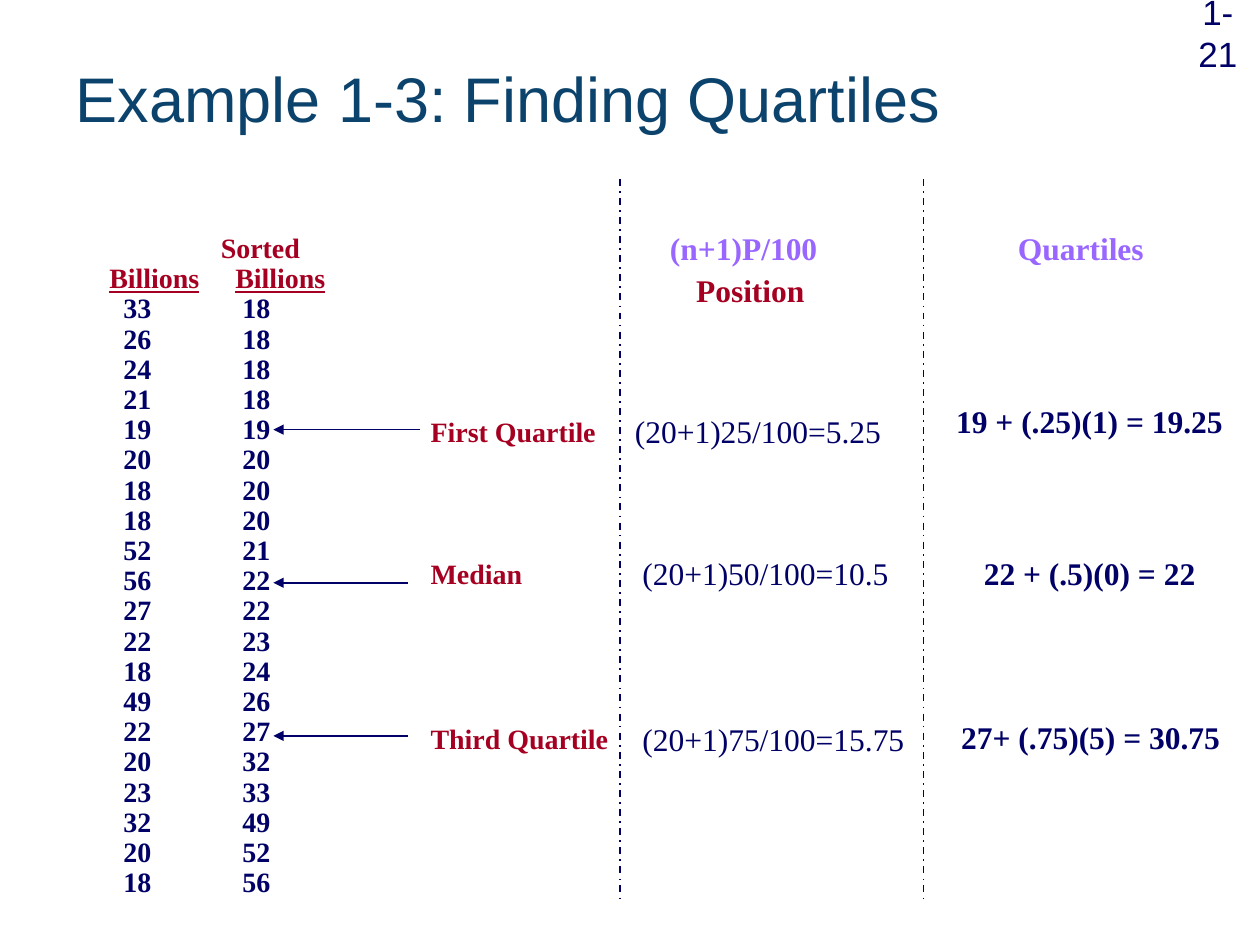
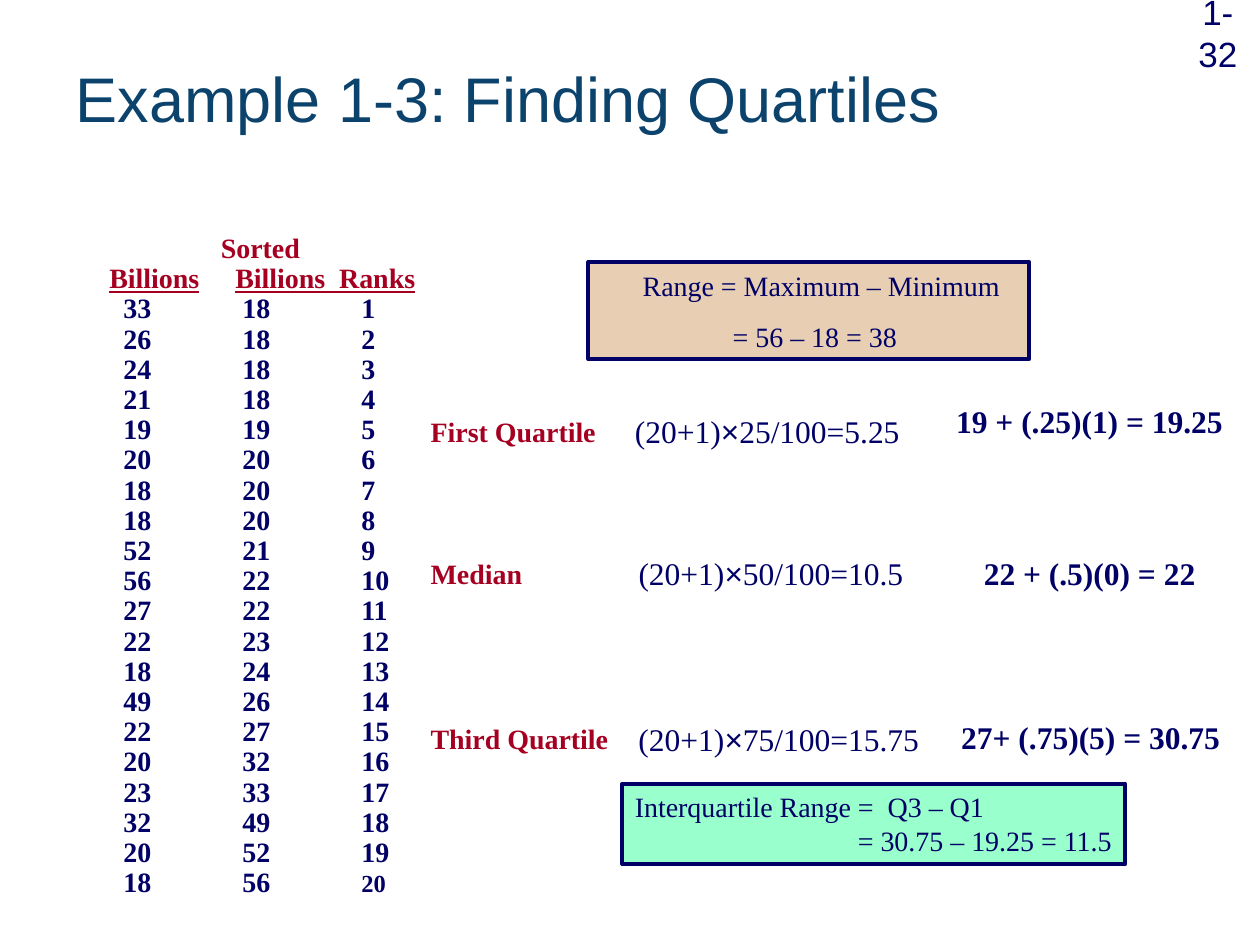
"""Build two slides on finding quartiles of a sorted data set."""
import pptx
import pptx.dml.color
import pptx.enum.dml
import pptx.enum.shapes
import pptx.enum.text
import pptx.oxml.ns
import pptx.util
from lxml import etree

Pt = pptx.util.Pt
ALIGN = pptx.enum.text.PP_ALIGN
COLORS = {
    "navy": "000066", "red": "A50021", "purple": "9966FF", "title": "0C436C",
    "white": "FFFFFF", "tan": "E8CEB2", "mint": "99FFCC",
}
SERIF, SANS = "Times New Roman", "Arial"

BILLIONS = [33, 26, 24, 21, 19, 20, 18, 18, 52, 56,
            27, 22, 18, 49, 22, 20, 23, 32, 20, 18]
QUARTILES = [
    ("First Quartile", "25/100=5.25", "19 + (.25)(1) = 19.25"),
    ("Median", "50/100=10.5", "22 + (.5)(0) = 22"),
    ("Third Quartile", "75/100=15.75", "27+ (.75)(5) = 30.75"),
]
LABEL_SPOTS = [(239, 233.3, 110, 26), (239, 314.6, 70, 26), (239, 409, 118, 26)]
RESULT_SPOTS = [(539.3, 226, 168, 28.8), (555.1, 313.2, 136, 28.8),
                (542.2, 406.8, 163, 28.8)]
PLAIN_SPOTS = [(355.7, 231.8, 173.5, 28.8), (360, 313.2, 158, 28.8),
               (360, 408.2, 167, 28.8)]
TIMES_SPOTS = [(355.7, 231.8, 173.5, 28.8), (357.8, 313.2, 170, 28.8),
               (357.8, 408.2, 180, 28.8)]


def rgb(name):
    return pptx.dml.color.RGBColor.from_string(COLORS[name])


def write(frame, paragraphs, font=SERIF, size=18, color="navy", bold=False,
          underline=False, align=ALIGN.LEFT, spacing=None, before=0, indents=(), tabs=()):
    """Fill a frame; a paragraph is a string or a list of (text, overrides)."""
    base = dict(font=font, size=size, color=color, bold=bold, underline=underline)
    for index, content in enumerate(paragraphs):
        paragraph = frame.paragraphs[0] if index == 0 else frame.add_paragraph()
        paragraph.alignment = align
        paragraph.space_before = Pt(before)
        if spacing:
            paragraph.line_spacing = spacing
        properties = paragraph._p.get_or_add_pPr()
        if indents:
            properties.set("marL", str(Pt(indents[index])))
            properties.set("indent", "0")
        if tabs:
            stops = etree.SubElement(properties, pptx.oxml.ns.qn("a:tabLst"))
            for position in tabs[index]:
                etree.SubElement(stops, pptx.oxml.ns.qn("a:tab"),
                                 pos=str(Pt(position)), algn="l")
        for text, overrides in [(content, {})] if isinstance(content, str) else content:
            style = {**base, **overrides}
            run = paragraph.add_run()
            run.text = text
            run.font.name = style["font"]
            run.font.size = Pt(style["size"])
            run.font.bold = style["bold"]
            run.font.underline = style["underline"]
            run.font.color.rgb = rgb(style["color"])


class Deck:
    """Hold the presentation style and the current slide."""

    def __init__(self):
        self.show = pptx.Presentation()
        self.show.slide_width, self.show.slide_height = Pt(720), Pt(540)
        self.slide = None

    def start(self, title, number):
        self.slide = self.show.slides.add_slide(self.show.slide_layouts[5])
        heading = self.slide.shapes.title
        heading.left, heading.top, heading.width, heading.height = map(Pt, (36, 10.8, 667.4, 90))
        heading.text_frame.vertical_anchor = pptx.enum.text.MSO_ANCHOR.MIDDLE
        write(heading.text_frame, [title], font=SANS, size=36, color="title")
        self.text((668.9, -9.2, 54, 34.6), [number], wrap=True, font=SANS, size=20,
                  align=ALIGN.CENTER)

    def text(self, spot, paragraphs, wrap=False, **style):
        box = self.slide.shapes.add_textbox(*map(Pt, spot))
        box.text_frame.word_wrap = wrap
        write(box.text_frame, paragraphs, **style)

    def panel(self, spot, paragraphs, fill="white", border=None, wrap=False, **style):
        panel = self.slide.shapes.add_shape(
            pptx.enum.shapes.MSO_SHAPE.RECTANGLE, *map(Pt, spot))
        panel.shadow.inherit = False
        panel.fill.solid()
        panel.fill.fore_color.rgb = rgb(fill)
        if border:
            panel.line.color.rgb = rgb(border)
            panel.line.width = Pt(2.25)
        else:
            panel.line.fill.background()
        panel.text_frame.word_wrap = wrap
        panel.text_frame.vertical_anchor = pptx.enum.text.MSO_ANCHOR.TOP
        write(panel.text_frame, paragraphs, **style)

    def line(self, start, end, arrow=False, dash=None):
        line = self.slide.shapes.add_connector(
            pptx.enum.shapes.MSO_CONNECTOR.STRAIGHT, *map(Pt, start + end))
        line.line.color.rgb = rgb("navy")
        line.line.width = Pt(1)
        if dash:
            line.line.dash_style = dash
        if arrow:
            etree.SubElement(line.line._get_or_add_ln(), pptx.oxml.ns.qn("a:headEnd"),
                             type="triangle")
        etree.SubElement(line._element.spPr, pptx.oxml.ns.qn("a:effectLst"))

    def data_columns(self, ranked):
        heading = {"color": "red", "underline": True}
        second = "Billions  Ranks" if ranked else "Billions"
        rows = [[("\tSorted", {"color": "red"})],
                [("Billions", heading), ("\t", {}), (second, heading)]]
        for rank, (raw, ordered) in enumerate(zip(BILLIONS, sorted(BILLIONS)), 1):
            row = [(f"\t{raw}\t{ordered}", {})]
            if ranked:
                row.append((f"\t{rank}", {"size": 14 if rank == len(BILLIONS) else 16}))
            rows.append(row)
        tabs = [(63.7,), (72,)] + [(8, 76, 144)] * len(BILLIONS)
        self.panel((55.4, 130.3, 216.7, 401.8), rows, wrap=True, size=16, bold=True,
                   spacing=0.9, tabs=tabs)

    def quartile_rows(self, with_times):
        spots = zip(QUARTILES, LABEL_SPOTS, TIMES_SPOTS if with_times else PLAIN_SPOTS,
                    RESULT_SPOTS)
        for (label, position, result), label_spot, position_spot, result_spot in spots:
            self.text(label_spot, [label], size=16, color="red", bold=True)
            if with_times:
                formula = [("(20+1)", {}), ("×", {"font": SANS}), (position, {})]
                self.panel(position_spot, [formula])
            else:
                self.text(position_spot, ["(20+1)" + position])
            self.panel(result_spot, [result], bold=True)


def main():
    deck = Deck()
    title = "Example 1-3: Finding Quartiles"

    deck.start(title, "1-21")
    deck.data_columns(ranked=False)
    for row, arrow_end in enumerate((239.8, 233.3, 233.3)):
        height = 245.5 + 87.5 * row
        deck.line((156.2, height), (arrow_end, height), arrow=True)
    deck.quartile_rows(with_times=False)
    for divider in (354.2, 527.8):
        deck.line((divider, 102.2), (divider, 514.8),
                  dash=pptx.enum.dml.MSO_LINE.DASH_DOT)
    deck.text((375.8, 127.4, 100, 28.8), ["(n+1)P/100"], color="purple", bold=True)
    deck.text((342, 151.2, 173.5, 28.8), ["Position"], wrap=True, color="red", bold=True,
              align=ALIGN.CENTER)
    deck.text((574.6, 127.4, 91.4, 28.8), ["Quartiles"], color="purple", bold=True)

    deck.start(title, "1-32")
    deck.data_columns(ranked=True)
    deck.quartile_rows(with_times=True)
    deck.panel((336.2, 149.8, 252, 55.4), ["Range = Maximum – Minimum", "= 56 – 18 = 38"],
               fill="tan", border="navy", wrap=True, size=16, before=10, indents=(24, 75.4))
    deck.panel((355.7, 447.8, 287.3, 46.1),
               ["Interquartile Range =  Q3 – Q1", "= 30.75 – 19.25 = 11.5"],
               fill="mint", border="navy", size=16, indents=(0, 127.4))

    deck.show.save("out.pptx")


if __name__ == "__main__":
    main()
